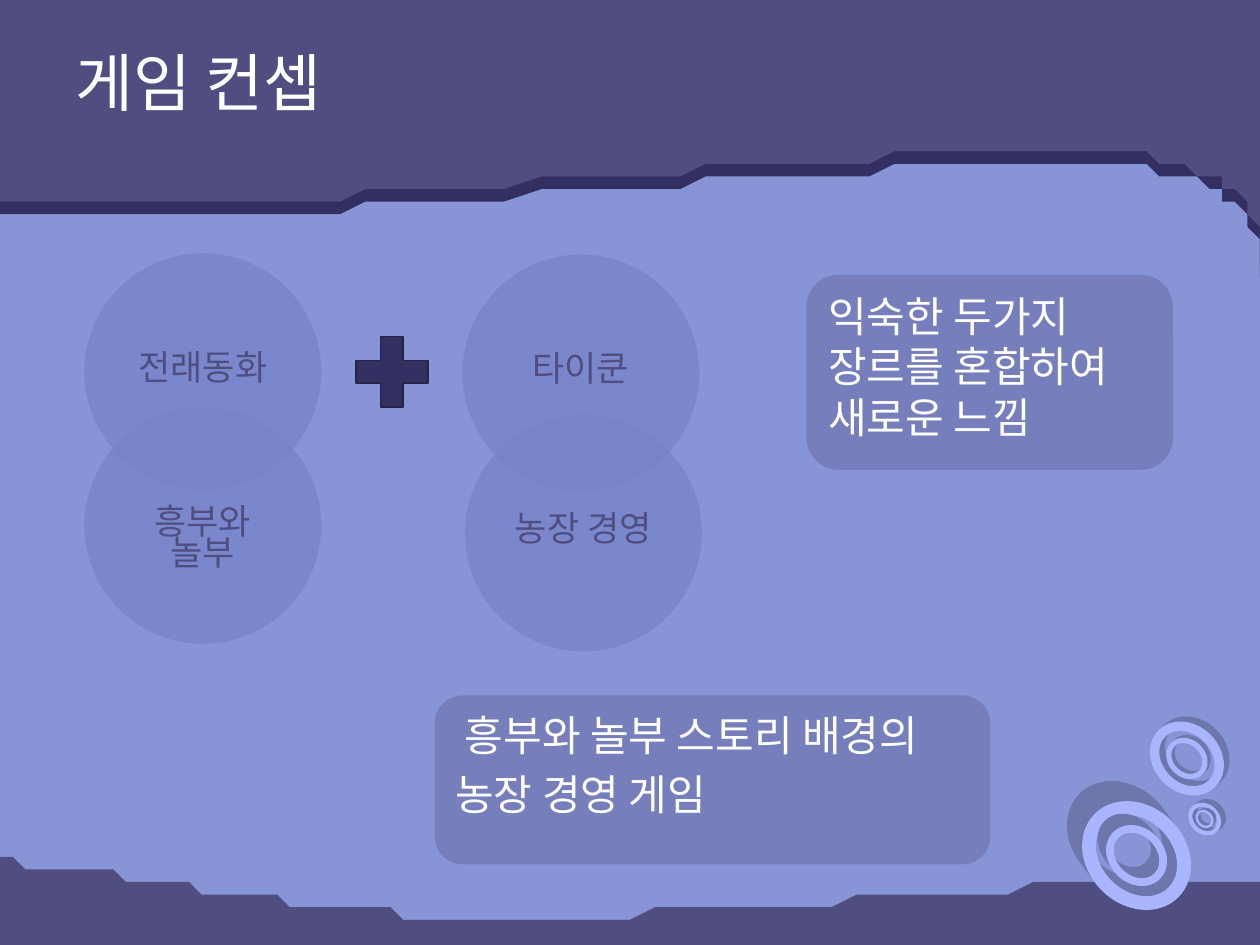
import dataclasses
import typing

import pptx
import pptx.dml.color
import pptx.enum.shapes
import pptx.enum.text
import pptx.oxml
import pptx.oxml.ns
import pptx.util

RGB = pptx.dml.color.RGBColor
SHAPE = pptx.enum.shapes.MSO_SHAPE
ALIGN = pptx.enum.text.PP_ALIGN
ANCHOR = pptx.enum.text.MSO_ANCHOR

SKY = RGB(0x87, 0x94, 0xD5)
VIOLET = RGB(0x50, 0x4D, 0x80)
NIGHT = RGB(0x34, 0x2F, 0x61)
PLUS_EDGE = RGB(0x26, 0x23, 0x48)
BUBBLE = RGB(0x77, 0x82, 0xC9)
RING_FACE = RGB(0xA9, 0xB6, 0xFF)
RING_SIDE = RGB(0x6D, 0x77, 0xAC)
WHITE = RGB(0xFF, 0xFF, 0xFF)

COLUMNS, ROWS = 100, 75
CELL = pptx.util.Inches(0.1)
BUBBLE_SIZE = 18.8
Point = tuple[float, float]


@dataclasses.dataclass(frozen=True)
class Bubble:
    left: float
    top: float
    lines: tuple[str, ...]
    drop: float = 0


@dataclasses.dataclass(frozen=True)
class Note:
    left: float
    top: float
    width: float
    height: float
    lines: tuple[str, ...]


@dataclasses.dataclass(frozen=True)
class Gear:
    """Two concentric tilted rings; depth is the shift of the back face."""
    x: float
    y: float
    size: float
    depth: Point


@dataclasses.dataclass(frozen=True)
class Wave:
    """Straight edge points, then cubic curves of three points each."""
    corners: tuple[Point, ...]
    curves: tuple[tuple[Point, Point, Point], ...]


HEADER = Wave(
    ((-0.3, -0.4), (100.6, -0.5), (100.6, 21.2)),
    (((98.4, 23.3), (104.4, 12.9), (87.6, 12)),
     ((70.8, 11.2), (14.3, 18.1), (-0.4, 16))),
)
FOOTER = Wave(
    ((100, 75.1), (-0.1, 75.3), (-0.2, 68.5)),
    (((6.2, 68.1), (21.6, 72.6), (38.3, 72.8)),
     ((55, 73), (89.8, 69.3), (100.1, 69.6))),
)
HEADER_SHADE_DROP = 0.97

GEARS = (
    Gear(90.2, 67.9, 10.3, (-1.2, -1.6)),
    Gear(95.6, 65, 3.1, (0.4, -0.3)),
    Gear(94.2, 60.2, 7, (0.45, -0.4)),
)
BUBBLES = (
    Bubble(6.7, 32.3, ("흥부와", "놀부"), drop=2.5),
    Bubble(6.7, 20.1, ("전래동화",)),
    Bubble(36.7, 20.2, ("타이쿤",)),
    Bubble(36.9, 32.9, ("농장 경영",)),
)
NOTES = (
    Note(34.5, 55.2, 44.1, 13.4, (" 흥부와 놀부 스토리 배경의", "농장 경영 게임")),
    Note(64, 21.8, 29.1, 15.5, ("익숙한 두가지 장르를 혼합하여 새로운 느낌",)),
)


def cells(count: float) -> int:
    return round(count * CELL)


def paint(shape, color: RGB, opacity: typing.Optional[int] = None) -> None:
    """Flat fill without line or shadow; opacity is in percent."""
    shape.shadow.inherit = False
    shape.fill.solid()
    shape.fill.fore_color.rgb = color
    shape.line.fill.background()
    if opacity is not None:
        tint = shape.fill._xPr.find(".//" + pptx.oxml.ns.qn("a:srgbClr"))
        tint.append(pptx.oxml.parse_xml(
            f'<a:alpha {pptx.oxml.ns.nsdecls("a")} val="{opacity * 1000}"/>'))


def add_preset(slide, kind, left: float, top: float, width: float, height: float):
    return slide.shapes.add_shape(kind, *map(cells, (left, top, width, height)))


def write(shape, lines: tuple[str, ...], font: str, size: int, color: RGB,
          align=ALIGN.LEFT, anchor=ANCHOR.TOP, line_spacing=None, before=0) -> None:
    frame = shape.text_frame
    frame.word_wrap = True
    frame.vertical_anchor = anchor
    frame.text = "\n".join(lines)
    for paragraph in frame.paragraphs:
        paragraph.alignment = align
        paragraph.line_spacing = line_spacing
        paragraph.space_before = pptx.util.Pt(before)
        paragraph.font.name = font
        paragraph.font.size = pptx.util.Pt(size)
        paragraph.font.color.rgb = color


def bezier(start: Point, a: Point, b: Point, end: Point, steps: int = 40) -> list[Point]:
    points = []
    for step in range(1, steps + 1):
        t = step / steps
        u = 1 - t
        points.append(tuple(
            u**3 * p + 3 * u * u * t * q + 3 * u * t * t * r + t**3 * s
            for p, q, r, s in zip(start, a, b, end)))
    return points


def draw_wave(slide, wave: Wave, color: RGB, drop: float = 0) -> None:
    outline = list(wave.corners)
    for a, b, end in wave.curves:
        outline += bezier(outline[-1], a, b, end)
    (x, y), *rest = [(x, y + drop) for x, y in outline]
    builder = slide.shapes.build_freeform(x, y, scale=CELL)
    builder.add_line_segments(rest, close=True)
    paint(builder.convert_to_shape(), color)


def draw_gear(slide, gear: Gear) -> None:
    for scale in (1, 0.56):
        length, breadth = gear.size * scale * 0.91, gear.size * scale * 0.76
        for shift in (1, 0.67, 0.33, 0):
            ring = add_preset(
                slide, SHAPE.DONUT,
                gear.x + gear.depth[0] * scale * shift - length / 2,
                gear.y + gear.depth[1] * scale * shift - breadth / 2,
                length, breadth)
            ring.adjustments[0] = 0.14
            ring.rotation = 45
            paint(ring, RING_SIDE if shift else RING_FACE)


def draw_bubble(slide, bubble: Bubble) -> None:
    circle = add_preset(slide, SHAPE.OVAL, bubble.left, bubble.top, BUBBLE_SIZE, BUBBLE_SIZE)
    paint(circle, BUBBLE, 70)
    write(circle, bubble.lines, "Noto Sans CJK KR", 20, VIOLET,
          ALIGN.CENTER, ANCHOR.MIDDLE, pptx.util.Pt(18))
    circle.text_frame.margin_top = cells(0.5 + bubble.drop)


def draw_note(slide, note: Note) -> None:
    panel = add_preset(slide, SHAPE.ROUNDED_RECTANGLE,
                       note.left, note.top, note.width, note.height)
    paint(panel, VIOLET, 30)
    write(panel, note.lines, "Arial", 24, WHITE, before=4.8)


def draw_plus(slide) -> None:
    plus = add_preset(slide, SHAPE.MATH_PLUS, 27.3, 25.6, 7.6, 7.8)
    plus.rotation = 90
    paint(plus, NIGHT)
    plus.line.color.rgb = PLUS_EDGE
    plus.line.width = pptx.util.Pt(1)


def draw_title(slide) -> None:
    title = slide.shapes.add_textbox(*map(cells, (5, 2.1, 88.7, 8.7)))
    write(title, ("게임 컨셉",), "Arial", 36, WHITE, anchor=ANCHOR.MIDDLE)


def main() -> None:
    deck = pptx.Presentation()
    deck.slide_width, deck.slide_height = cells(COLUMNS), cells(ROWS)
    slide = deck.slides.add_slide(deck.slide_layouts[6])
    slide.background.fill.solid()
    slide.background.fill.fore_color.rgb = SKY

    draw_wave(slide, FOOTER, VIOLET)
    draw_wave(slide, HEADER, NIGHT, HEADER_SHADE_DROP)
    draw_wave(slide, HEADER, VIOLET)
    for gear in GEARS:
        draw_gear(slide, gear)
    draw_title(slide)
    for bubble in BUBBLES:
        draw_bubble(slide, bubble)
    draw_plus(slide)
    for note in NOTES:
        draw_note(slide, note)
    deck.save("out.pptx")


if __name__ == "__main__":
    main()
